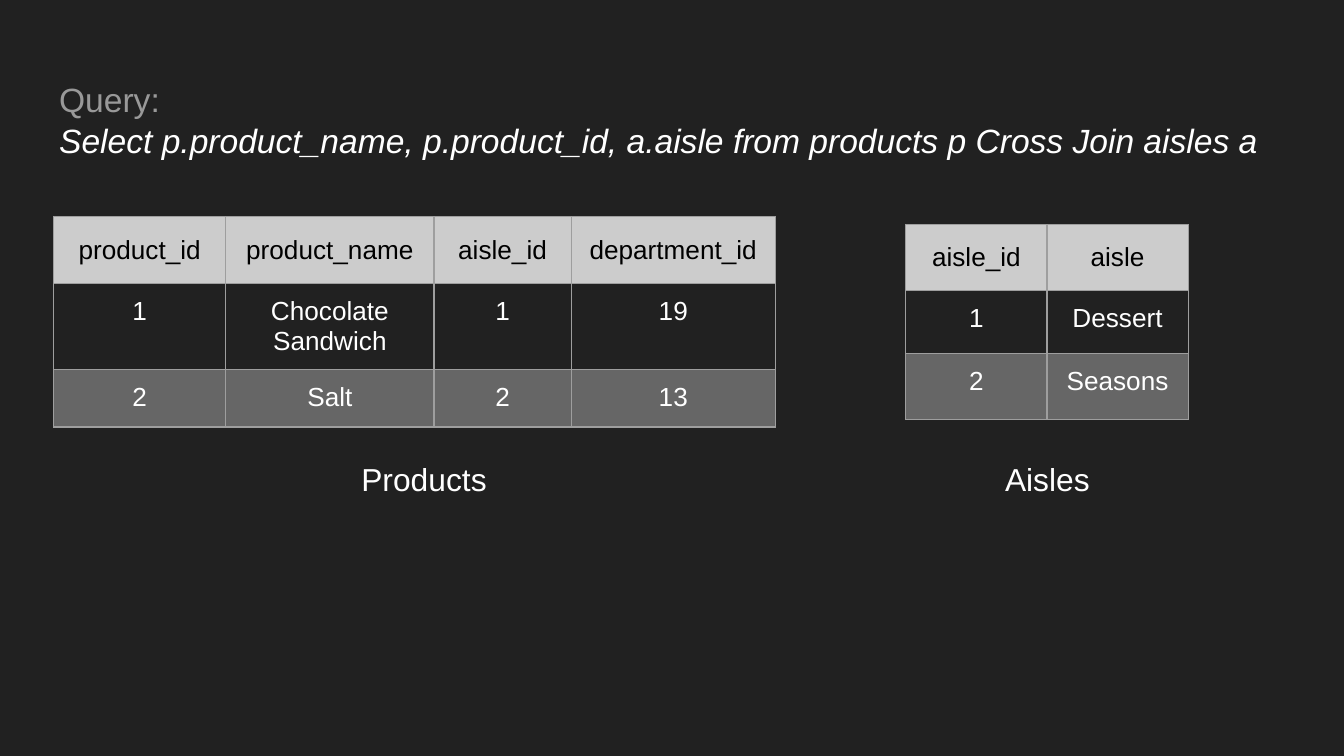
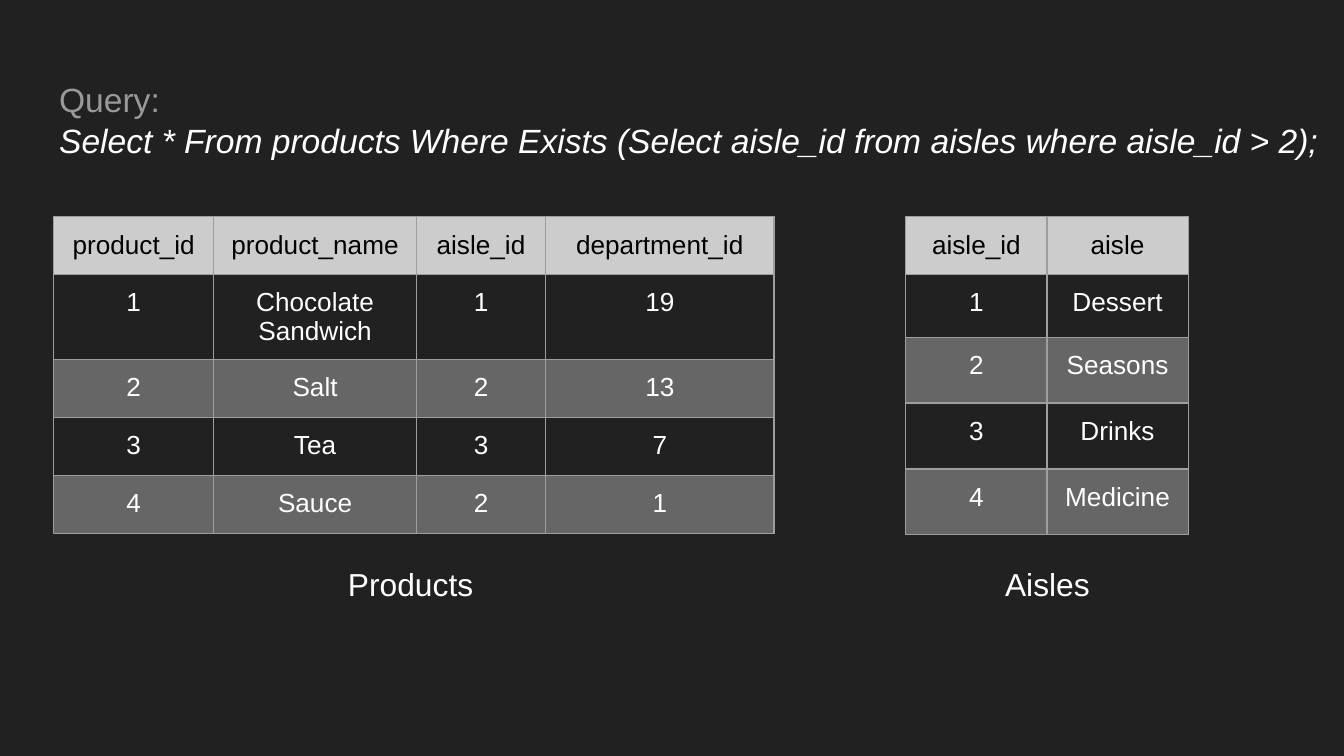
from lxml.etree import SubElement
from pptx import Presentation
from pptx.dml.color import RGBColor
from pptx.enum.text import MSO_ANCHOR, MSO_AUTO_SIZE, PP_ALIGN
from pptx.oxml.ns import qn
from pptx.util import Inches, Pt

WIDE = Inches(10)
HIGH = WIDE * 9 // 16

DARK = RGBColor(0x21, 0x21, 0x21)
BAND = RGBColor(0x66, 0x66, 0x66)
GREY = RGBColor(0x99, 0x99, 0x99)
EDGE = RGBColor(0x9E, 0x9E, 0x9E)
HEAD = RGBColor(0xCC, 0xCC, 0xCC)
WHITE = RGBColor(0xFF, 0xFF, 0xFF)
BLACK = RGBColor(0, 0, 0)

PAD = Inches(0.1)
SIDES = ("left", "top", "right", "bottom")
INSET = {f"margin_{side}": PAD for side in SIDES}
FRAME = {**INSET, "word_wrap": True, "auto_size": MSO_AUTO_SIZE.NONE,
         "vertical_anchor": MSO_ANCHOR.TOP}
FONT = {"name": "Arial", "bold": False, "italic": False}
PLAIN = {"first_row": True, "horz_banding": False}

GOODS = [
    ("product_id", "product_name", "aisle_id", "department_id"),
    ("1", "Chocolate Sandwich", "1", "19"),
    ("2", "Salt", "2", "13"),
    ("3", "Tea", "3", "7"),
    ("4", "Sauce", "2", "1"),
]
AISLES = [
    ("aisle_id", "aisle"),
    ("1", "Dessert"),
    ("2", "Seasons"),
    ("3", "Drinks"),
    ("4", "Medicine"),
]

PAGES = [
    {
        "query": "Select p.product_name, p.product_id, a.aisle "
                 "from products p Cross Join aisles a",
        "box": (0.34, 0.49, 9.32, 0.8),
        "grids": [
            (GOODS, (0.4, 1.61), (1.28, 1.55, 1.02, 1.52), (0.5, 0.43, 0.43)),
            (AISLES, (6.74, 1.67), (1.05, 1.05), (0.49, 0.47, 0.49)),
        ],
        "labels": [("Products", (2.59, 3.32, 1.18, 0.63)),
                   ("Aisles", (7.38, 3.32, 0.84, 0.63))],
    },
    {
        "query": "Select * From products Where Exists "
                 "(Select aisle_id from aisles where aisle_id > 2);",
        "box": (0.34, 0.49, 9.59, 0.63),
        "grids": [
            (GOODS, (0.4, 1.61), (1.19, 1.51, 0.96, 1.7), (0.43,) * 5),
            (AISLES, (6.74, 1.61), (1.05, 1.05),
             (0.43, 0.47, 0.49, 0.49, 0.49)),
        ],
        "labels": [("Products", (2.49, 4.1, 1.18, 0.63)),
                   ("Aisles", (7.38, 4.1, 1.18, 0.63))],
    },
]


def apply(item, values):
    for key, value in values.items():
        setattr(item, key, value)


def write(para, text, size, tint, align=PP_ALIGN.LEFT, **extra):
    para.alignment = align
    run = para.add_run()
    run.text = text
    apply(run.font, {**FONT, "size": Pt(size), **extra})
    run.font.color.rgb = tint


def add_title(slide, box, query):
    title = slide.shapes.title
    apply(title, dict(zip(("left", "top", "width", "height"),
                          map(Inches, box))))
    frame = title.text_frame
    apply(frame, FRAME)
    write(frame.paragraphs[0], "Query:", 18, GREY)
    write(frame.add_paragraph(), query, 18, WHITE, italic=True)


def add_label(slide, box, text):
    frame = slide.shapes.add_textbox(*map(Inches, box)).text_frame
    apply(frame, FRAME)
    write(frame.paragraphs[0], text, 17, WHITE)


def add_edges(cell):
    props = cell._tc.get_or_add_tcPr()
    for spot, side in enumerate("LRTB"):
        line = SubElement(props, qn(f"a:ln{side}"), w=str(Pt(0.75)))
        fill = SubElement(line, qn("a:solidFill"))
        SubElement(fill, qn("a:srgbClr"), val=str(EDGE))
        props.insert(spot, line)


def fill_cell(cell, text, row):
    head = row == 0
    apply(cell, {**INSET, "vertical_anchor":
                 MSO_ANCHOR.MIDDLE if head else MSO_ANCHOR.TOP})
    if row % 2:
        cell.fill.background()
    else:
        cell.fill.solid()
        cell.fill.fore_color.rgb = HEAD if head else BAND
    write(cell.text_frame.paragraphs[0], text, 14,
          BLACK if head else WHITE, PP_ALIGN.CENTER)
    add_edges(cell)


def add_grid(slide, data, spot, wides, highs):
    size = (sum(wides), sum(highs))
    table = slide.shapes.add_table(len(highs), len(wides),
                                   *map(Inches, spot + size)).table
    apply(table, PLAIN)
    for col, wide in zip(table.columns, wides):
        col.width = Inches(wide)
    for row, high in enumerate(highs):
        table.rows[row].height = Inches(high)
        for col, text in enumerate(data[row]):
            fill_cell(table.cell(row, col), text, row)


def add_page(deck, page):
    slide = deck.slides.add_slide(deck.slide_layouts.get_by_name("Title Only"))
    add_title(slide, page["box"], page["query"])
    for grid in page["grids"]:
        add_grid(slide, *grid)
    for text, box in page["labels"]:
        add_label(slide, box, text)


def main():
    deck = Presentation()
    apply(deck, {"slide_width": WIDE, "slide_height": HIGH})
    back = deck.slide_master.background.fill
    back.solid()
    back.fore_color.rgb = DARK
    for page in PAGES:
        add_page(deck, page)
    deck.save("out.pptx")


if __name__ == "__main__":
    main()
